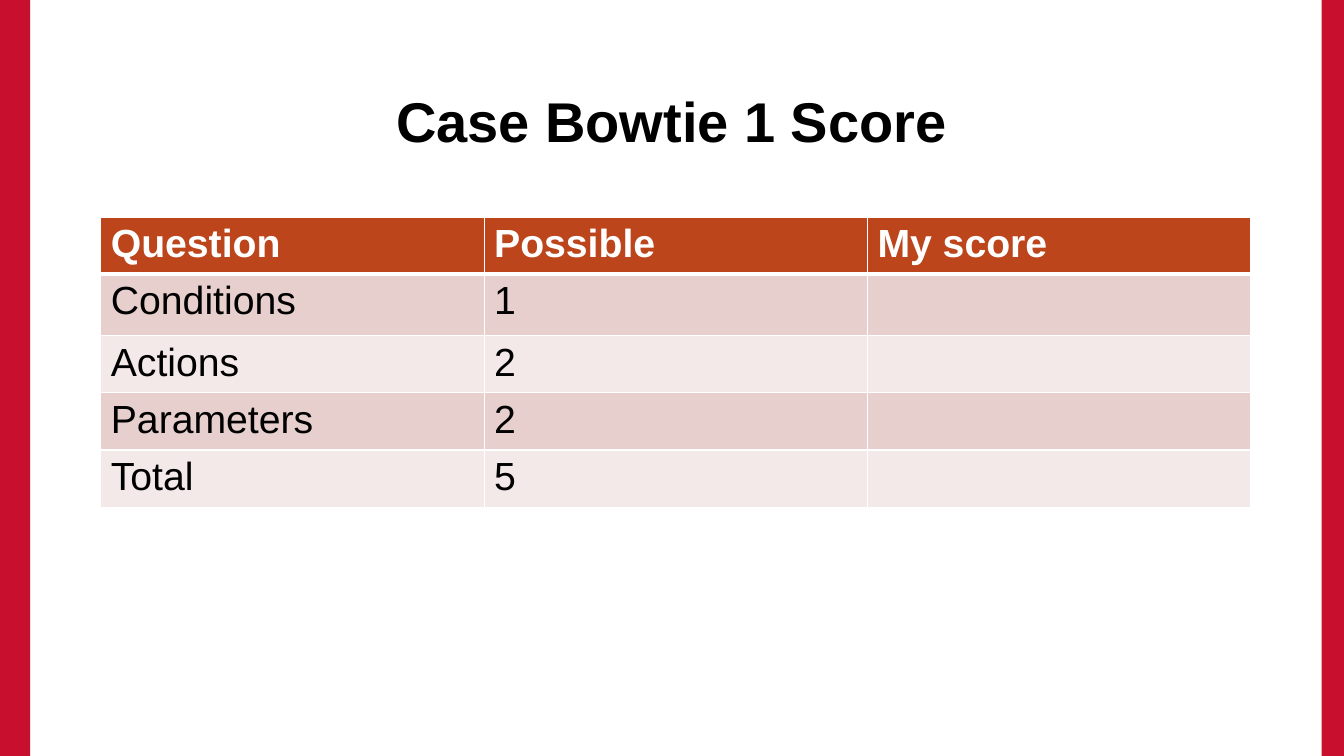
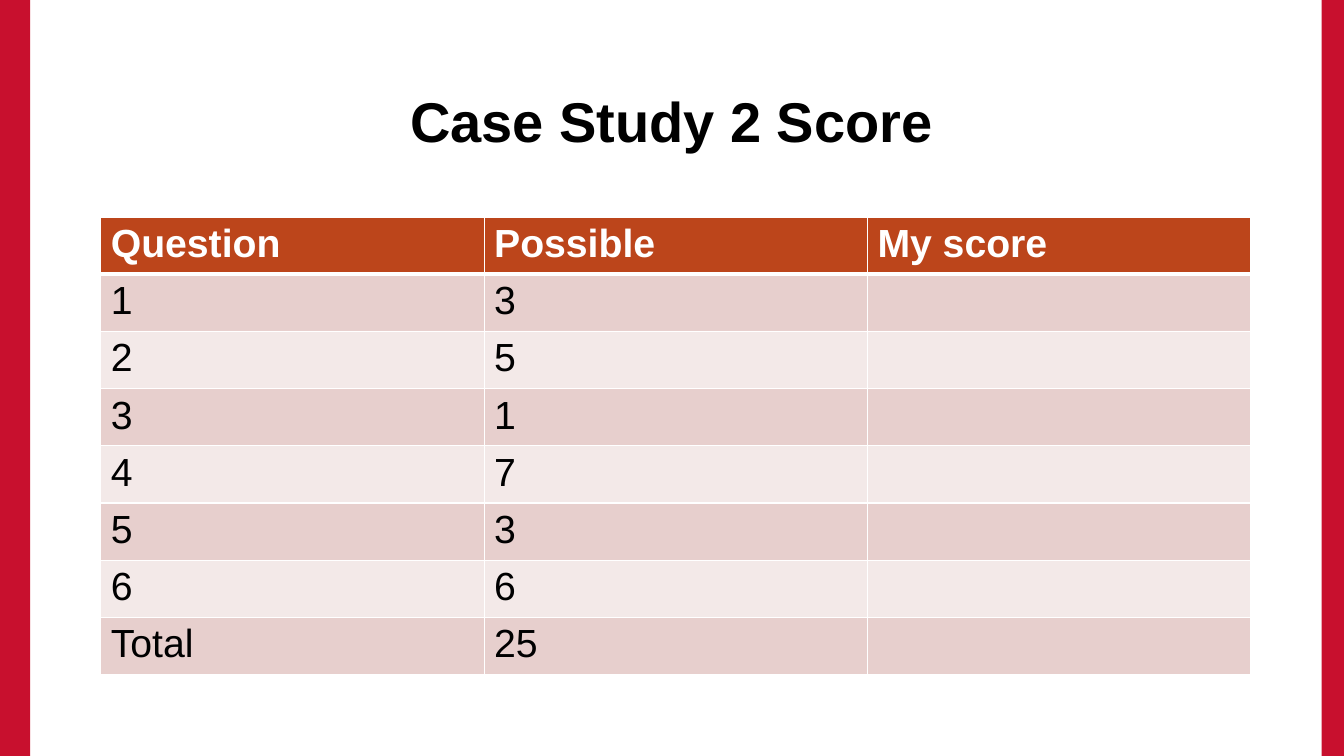
from lxml.etree import SubElement
from pptx import Presentation
from pptx.dml.color import RGBColor
from pptx.enum.shapes import MSO_SHAPE as SHAPE
from pptx.enum.text import MSO_ANCHOR as ANCHOR, PP_ALIGN as ALIGN
from pptx.oxml.ns import qn
from pptx.util import Pt

RED = RGBColor(0xC8, 0x10, 0x2E)
RUST = RGBColor(0xBC, 0x45, 0x1B)
ROSE = RGBColor(0xE7, 0xCF, 0xCD)
BLUSH = RGBColor(0xF3, 0xE9, 0xE8)
WHITE = RGBColor(0xFF, 0xFF, 0xFF)
BLACK = RGBColor(0, 0, 0)

WIDTH, HEIGHT = 960, 540
BANDS = [(0, 21.6), (944, 16)]  # left, width
LEFT, TABLE_TOP = 72, 155
COL_W, ROW_H, TALL_ROW_H = 273.8, 38.4, 43.9

TITLE_FONT = {"name": "Arial", "size": Pt(40), "bold": True}
HEAD_FONT = {"name": "Arial", "size": Pt(28), "bold": True}
BODY_FONT = {"name": "Arial", "size": Pt(28), "bold": False}

HEADER = ("Question", "Possible", "My score")
SCORES = [
    ("Case Bowtie 1 Score",
     [("Conditions", 1), ("Actions", 2), ("Parameters", 2), ("Total", 5)],
     {1: TALL_ROW_H}),
    ("Case Study 2 Score",
     [(1, 3), (2, 5), (3, 1), (4, 7), (5, 3), (6, 6), ("Total", 25)],
     {}),
]


def set_font(p, values, color):
    for name, value in values.items():
        setattr(p.font, name, value)
    p.font.color.rgb = color


def set_borders(cell, top, bottom):
    """Draw white cell borders; top and bottom are widths in points."""
    tc_pr = cell._tc.get_or_add_tcPr()
    widths = {"lnL": 1, "lnR": 1, "lnT": top, "lnB": bottom}
    for i, (tag, width) in enumerate(widths.items()):
        ln = tc_pr.makeelement(qn(f"a:{tag}"), {"w": str(Pt(width))})
        fill = SubElement(ln, qn("a:solidFill"))
        SubElement(fill, qn("a:srgbClr"), val=str(WHITE))
        tc_pr.insert(i, ln)


prs = Presentation()
prs.slide_width, prs.slide_height = Pt(WIDTH), Pt(HEIGHT)

for title, scores, row_heights in SCORES:
    s = prs.slides.add_slide(prs.slide_layouts[6])

    for left, width in BANDS:
        sp = s.shapes.add_shape(SHAPE.RECTANGLE, Pt(left), 0, Pt(width), Pt(HEIGHT))
        sp.shadow.inherit = False
        sp.fill.solid()
        sp.fill.fore_color.rgb = RED
        sp.line.fill.background()

    tf = s.shapes.add_textbox(Pt(LEFT), Pt(48), Pt(815), Pt(76)).text_frame
    tf.word_wrap = True
    tf.vertical_anchor = ANCHOR.MIDDLE
    p = tf.paragraphs[0]
    p.text = title
    p.alignment = ALIGN.CENTER
    set_font(p, TITLE_FONT, BLACK)

    rows = [HEADER] + [(*score, "") for score in scores]
    heights = [row_heights.get(i, ROW_H) for i in range(len(rows))]
    table = s.shapes.add_table(len(rows), len(HEADER), Pt(LEFT), Pt(TABLE_TOP),
                               Pt(COL_W * len(HEADER)), Pt(sum(heights))).table
    for col in table.columns:
        col.width = Pt(COL_W)
    for i, row in enumerate(rows):
        table.rows[i].height = Pt(heights[i])
        for j, value in enumerate(row):
            cell = table.cell(i, j)
            cell.fill.solid()
            cell.fill.fore_color.rgb = RUST if i == 0 else ROSE if i % 2 else BLUSH
            set_borders(cell, top=3 if i == 1 else 1, bottom=3 if i == 0 else 1)
            p = cell.text_frame.paragraphs[0]
            p.text = str(value)
            set_font(p, BODY_FONT if i else HEAD_FONT, BLACK if i else WHITE)

prs.save("out.pptx")
